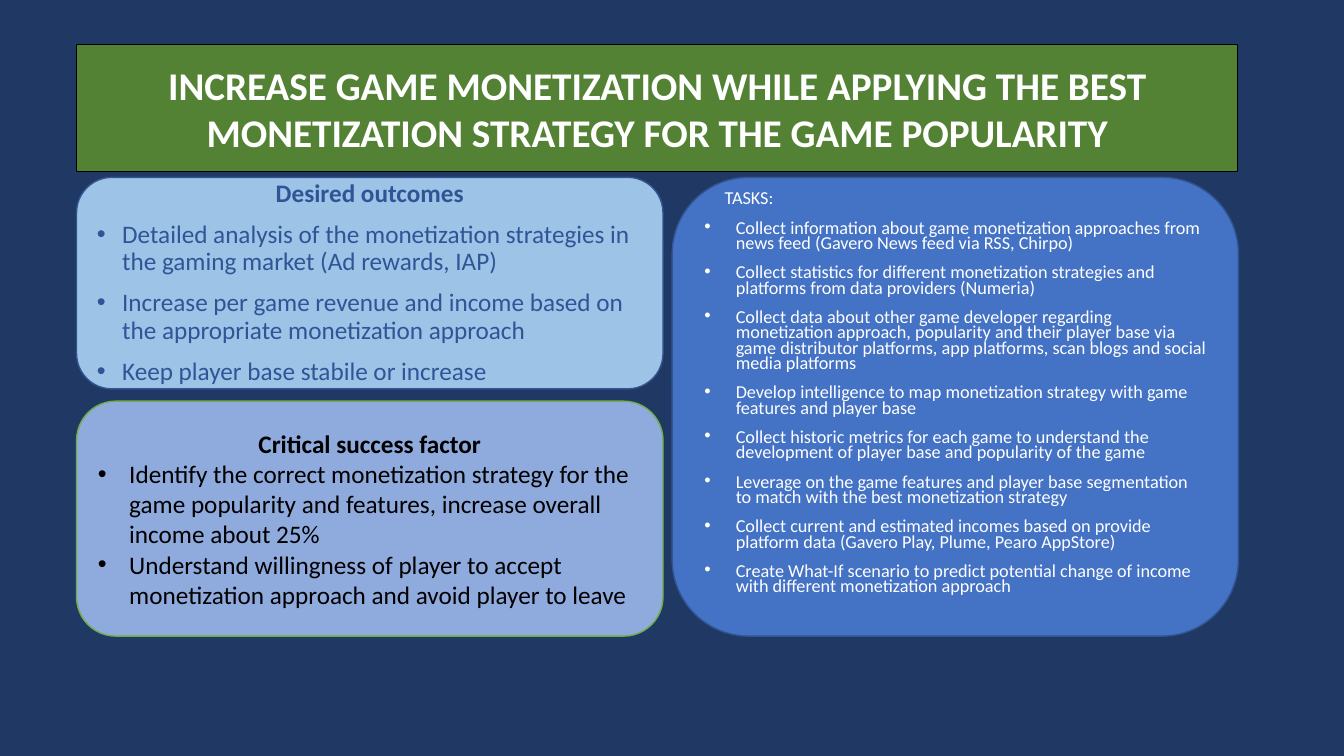
from pptx import Presentation
from pptx.dml.color import RGBColor
from pptx.enum.shapes import MSO_SHAPE
from pptx.enum.text import MSO_ANCHOR, MSO_AUTO_SIZE, PP_ALIGN
from pptx.oxml import parse_xml
from pptx.oxml.ns import nsdecls, qn
from pptx.util import Cm, Pt

ROUNDED = MSO_SHAPE.ROUNDED_RECTANGLE
MIDDLE = MSO_ANCHOR.MIDDLE
NO_AUTOFIT = MSO_AUTO_SIZE.NONE
LEFT, CENTER = PP_ALIGN.LEFT, PP_ALIGN.CENTER

FONT = "Calibri"
COLORS = {
    "background": "203864",
    "goal": "548235",
    "outcomes": "9DC3E6",
    "outcomes text": "2F5597",
    "factors": "8FAADC",
    "factors border": "70AD47",
    "tasks": "4472C4",
    "blue border": "325491",
    "white": "FFFFFF",
    "black": "000000",
}

# Boxes in centimetres: left, top, width, height
MARGIN, COLUMN = 1.93, 14.78
GOAL_BOX = (MARGIN, 1.12, 29.26, 3.2)
OUTCOMES_BOX = (MARGIN, 4.47, COLUMN, 5.33)
FACTORS_BOX = (MARGIN, 10.11, COLUMN, 5.92)
TASKS_BOX = (16.94, 4.47, 14.27, 11.56)

GOAL = ("INCREASE GAME MONETIZATION WHILE APPLYING THE BEST "
        "MONETIZATION STRATEGY FOR THE GAME POPULARITY")
OUTCOMES = [
    "Detailed analysis of the monetization strategies in the gaming market (Ad rewards, IAP)",
    "Increase per game revenue and income based on the appropriate monetization approach",
    "Keep player base stabile or increase",
]
FACTORS = [
    "Identify the correct monetization strategy for the game popularity and features, "
    "increase overall income about 25%",
    "Understand willingness of player to accept monetization approach and avoid player to leave",
]
TASKS = [
    "Collect information about game monetization approaches from news feed "
    "(Gavero News feed via RSS, Chirpo)",
    "Collect statistics for different monetization strategies and platforms "
    "from data providers (Numeria)",
    "Collect data about other game developer regarding monetization approach, popularity and "
    "their player base via game distributor platforms, app platforms, scan blogs and social "
    "media platforms",
    "Develop intelligence to map monetization strategy with game features and player base",
    "Collect historic metrics for each game to understand the development of player base "
    "and popularity of the game",
    "Leverage on the game features and player base segmentation to match with the best "
    "monetization strategy",
    "Collect current and estimated incomes based on provide platform data "
    "(Gavero Play, Plume, Pearo AppStore)",
    "Create What-If scenario to predict potential change of income with different "
    "monetization approach",
]


def rgb(name):
    return RGBColor.from_string(COLORS[name])


def style_panel(panel, box, fill, border):
    """Place a panel in its box and give it fill, border and text frame settings."""
    panel.left, panel.top, panel.width, panel.height = map(Cm, box)
    panel.fill.solid()
    panel.fill.fore_color.rgb = rgb(fill)
    panel.line.color.rgb = rgb(border)
    panel.line.width = Pt(1)
    frame = panel.text_frame
    frame.word_wrap = True
    frame.auto_size = NO_AUTOFIT
    frame.vertical_anchor = MIDDLE
    frame.margin_left = frame.margin_right = Cm(0.25)
    frame.margin_top = frame.margin_bottom = Cm(0.13)


def round_corners(placeholder, ratio=0.16667):
    """Turn a placeholder into a rounded rectangle."""
    geometry = parse_xml(
        f'<a:prstGeom {nsdecls("a")} prst="roundRect"><a:avLst>'
        f'<a:gd name="adj" fmla="val {round(ratio * 100000)}"/></a:avLst></a:prstGeom>')
    placeholder.element.spPr.find(qn("a:xfrm")).addnext(geometry)


def write_paragraph(paragraph, text, size, color, bold=False, align=LEFT,
                    spacing=1.0, before=0, indent=0, bullet=False):
    paragraph.alignment = align
    paragraph.line_spacing = spacing
    paragraph.space_before = Pt(before)
    paragraph.space_after = Pt(0)
    properties = paragraph._p.get_or_add_pPr()
    properties.set("marL", str(Cm(indent)))
    properties.set("indent", str(-Cm(indent) if bullet else 0))
    marks = (['<a:buFont {} typeface="Arial"/>', '<a:buChar {} char="•"/>']
             if bullet else ['<a:buNone {}/>'])
    for mark in marks:
        properties.append(parse_xml(mark.format(nsdecls("a"))))
    run = paragraph.add_run()
    run.text = text
    run.font.name = FONT
    run.font.size = Pt(size)
    run.font.bold = bold
    run.font.color.rgb = rgb(color)


def write_list(frame, heading, items, heading_format, indent, **text_format):
    """Write a heading followed by bulleted items."""
    write_paragraph(frame.paragraphs[0], heading, **text_format, **heading_format)
    for item in items:
        write_paragraph(frame.add_paragraph(), item, indent=indent, bullet=True, **text_format)


def add_goal(title, box):
    style_panel(title, box, "goal", "black")
    round_corners(title, 0.5)
    write_paragraph(title.text_frame.paragraphs[0], GOAL, 28, "white", bold=True, align=CENTER)


def add_outcomes(body, box):
    style_panel(body, box, "outcomes", "blue border")
    round_corners(body)
    write_list(body.text_frame, "Desired outcomes", OUTCOMES,
               {"bold": True, "align": CENTER}, indent=0.64,
               size=18, color="outcomes text", spacing=0.9, before=10)


def add_tasks(body, box):
    style_panel(body, box, "tasks", "blue border")
    round_corners(body)
    body.text_frame.margin_bottom = Cm(0.76)
    write_list(body.text_frame, "TASKS:", TASKS, {"indent": 0.51}, indent=0.79,
               size=13, color="white", spacing=0.7, before=10)


def add_factors(slide, box):
    factors = slide.shapes.add_shape(ROUNDED, *map(Cm, box))
    factors.shadow.inherit = False
    style_panel(factors, box, "factors", "factors border")
    write_list(factors.text_frame, "Critical success factor", FACTORS,
               {"bold": True, "align": CENTER}, indent=0.79, size=18, color="black")


def main():
    deck = Presentation()
    deck.slide_width, deck.slide_height = Cm(33.87), Cm(19.05)
    slide = deck.slides.add_slide(deck.slide_layouts.get_by_name("Two Content"))
    slide.background.fill.solid()
    slide.background.fill.fore_color.rgb = rgb("background")

    # Goal on top, outcomes and factors on the left, tasks on the right
    title, left_body, right_body = slide.placeholders
    add_goal(title, GOAL_BOX)
    add_outcomes(left_body, OUTCOMES_BOX)
    add_tasks(right_body, TASKS_BOX)
    add_factors(slide, FACTORS_BOX)
    deck.save("out.pptx")


if __name__ == "__main__":
    main()
